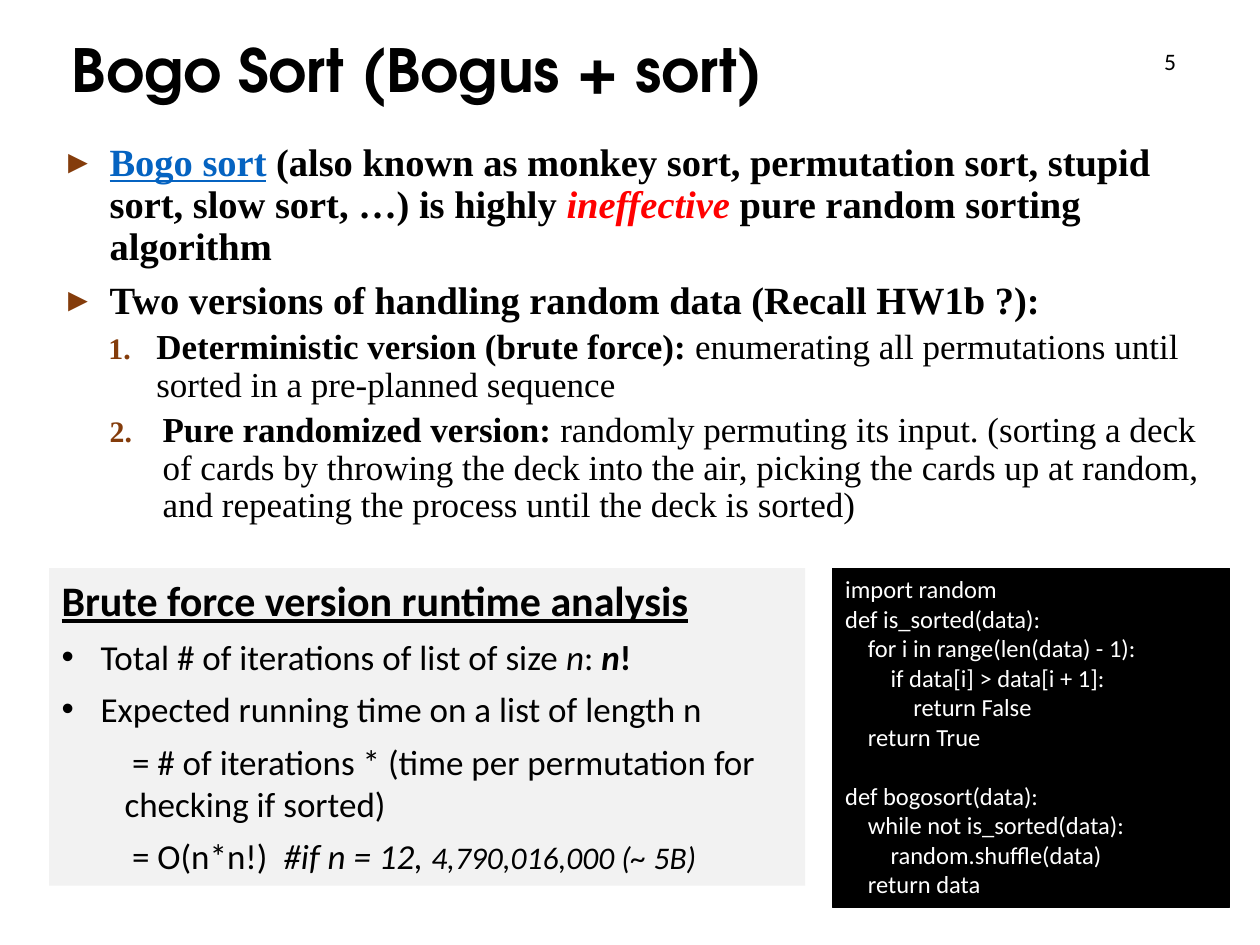
"""Build the Bogo Sort slide."""
import pptx
import pptx.util
import pptx.dml.color
import pptx.enum.shapes
import pptx.enum.text
import pptx.oxml
import pptx.oxml.ns

TIMES, SANS, HEAD = "Times New Roman", "Calibri", "TeX Gyre Adventor"
BLACK, WHITE, GREY, BROWN, BLUE, RED = "000000", "FFFFFF", "F2F2F2", "843C0B", "0563C1", "FF0000"
WIDE, HIGH = 10, 7.5

ARROW = dict(left=0.38, first=-0.38, mark="►", lines=0.9, before=7.5, size=22)
STEP = dict(level=1, left=0.75, first=-0.38, mark="1.", lines=0.9, before=3.8, size=20)
DOT = dict(left=0.31, first=-0.31, mark="•", before=6, size=20)
SUM = dict(level=1, left=0.5, first=0.06, before=6, size=20)

# Each run is its text, its b/i/u flags, and any override of size or colour.
TITLE = [(dict(size=34, lines=0.9), [("Bogo Sort (Bogus + sort)", "b")])]
NUMBER = [(dict(size=13.5), [("5", "")])]
POINTS = [
    (ARROW, [("Bogo sort", "bu", dict(color=BLUE)),
             (" (also known as monkey sort, permutation sort, stupid sort, slow sort, …)"
              " is highly ", "b"),
             ("ineffective", "bi", dict(color=RED)),
             (" pure random sorting algorithm", "b")]),
    (ARROW, [("Two versions of handling random data (Recall HW1b ?):", "b")]),
    (STEP, [("Deterministic version (brute force): ", "b"),
            ("enumerating all permutations until sorted in a pre-planned sequence", "")]),
    (STEP | dict(left=0.8, first=-0.42),
     [("Pure randomized version: ", "b"),
      ("randomly permuting its input. (sorting a deck of cards by throwing the deck into"
       " the air, picking the cards up at random, and repeating the process until the deck"
       " is sorted)", "")]),
]
COST = [
    (dict(size=24), [("Brute force version runtime analysis", "bu")]),
    (DOT, [("Total # of iterations of list of size ", ""), ("n", "i"), (": ", ""),
           ("n", "bi"), ("!", "b")]),
    (DOT, [("Expected running time on a list of length n", "")]),
    (SUM, [("= # of iterations * (time per permutation for checking if sorted)", "")]),
    (SUM, [("= O(n*n!)  ", ""), ("#if n = 12, ", "i"),
           ("4,790,016,000 (~ 5B)", "i", dict(size=18))]),
]
CODE = [
    (0, "import random"),
    (0, "def is_sorted(data):"),
    (1, "for i in range(len(data) - 1):"),
    (2, "if data[i] > data[i + 1]:"),
    (3, "return False"),
    (1, "return True"),
    (0, "def bogosort(data):"),
    (1, "while not is_sorted(data):"),
    (2, "random.shuffle(data)"),
    (1, "return data"),
]
TAB, GAP = 0.18, 17


def paint(text):
    return pptx.dml.color.RGBColor.from_string(text)


def place(shape, left, top, width, height):
    shape.left, shape.top, shape.width, shape.height = (
        pptx.util.Inches(v) for v in (left, top, width, height))


def add_mark(props, mark):
    def node(tag, **attrs):
        item = pptx.oxml.parse_xml(f"<a:{tag} {pptx.oxml.ns.nsdecls('a')}/>")
        for key, value in attrs.items():
            item.set(key, value)
        return item

    if not mark:
        props.append(node("buNone"))
        return
    if mark != "•":
        tint = node("buClr")
        tint.append(node("srgbClr", val=BROWN))
        props.append(tint)
        props.append(node("buSzPct", val="85000"))
    if mark == "1.":
        props.append(node("buAutoNum", type="arabicPeriod"))
    else:
        props.append(node("buFont", typeface="Arial"))
        props.append(node("buChar", char=mark))


def write(shape, paras, face, color=BLACK, anchor="TOP"):
    frame = shape.text_frame
    frame.word_wrap = True
    frame.auto_size = pptx.enum.text.MSO_AUTO_SIZE.NONE
    frame.vertical_anchor = pptx.enum.text.MSO_ANCHOR[anchor]
    for n, (style, runs) in enumerate(paras):
        para = frame.add_paragraph() if n else frame.paragraphs[0]
        para.level = style.get("level", 0)
        para.alignment = pptx.enum.text.PP_ALIGN.LEFT
        para.line_spacing = style.get("lines", 1.0)
        para.space_before = pptx.util.Pt(style.get("before", 0))
        props = para._p.get_or_add_pPr()
        props.set("marL", str(pptx.util.Inches(style.get("left", 0))))
        props.set("indent", str(pptx.util.Inches(style.get("first", 0))))
        add_mark(props, style.get("mark"))
        for text, flags, *extra in runs:
            look = dict(size=style["size"], color=color)
            look.update(*extra)
            run = para.add_run()
            run.text = text
            font = run.font
            font.name, font.size = face, pptx.util.Pt(look["size"])
            font.color.rgb = paint(look["color"])
            font.bold, font.italic, font.underline = (f in flags for f in "biu")


def add_panel(slide, box, fill, line=None):
    shape = slide.shapes.add_shape(pptx.enum.shapes.MSO_SHAPE.RECTANGLE, 0, 0, 0, 0)
    place(shape, *box)
    shape.shadow.inherit = False
    shape.fill.solid()
    shape.fill.fore_color.rgb = paint(fill)
    if line:
        shape.line.color.rgb = paint(line)
        shape.line.width = pptx.util.Pt(0.75)
    else:
        shape.line.fill.background()
    return shape


def main():
    deck = pptx.Presentation()
    deck.slide_width, deck.slide_height = pptx.util.Inches(WIDE), pptx.util.Inches(HIGH)
    slide = deck.slides.add_slide(deck.slide_layouts[1])
    edge, base = 0.39, 0.6 * HIGH + 0.01

    title, body = slide.placeholders
    place(title, 0.47, 0.25, 6.24, 0.66)
    write(title, TITLE, HEAD, anchor="MIDDLE")
    place(body, edge, 1.09, 9.47, 3.26)
    write(body, POINTS, TIMES)

    number = slide.shapes.add_textbox(0, 0, 0, 0)
    place(number, 9.14, 0.32, 0.86, 0.84)
    write(number, NUMBER, SANS)

    lines = [(dict(size=14, left=TAB * depth,
                   before=GAP if n and text.startswith("def bogo") else 0), [(text, "")])
             for n, (depth, text) in enumerate(CODE)]
    write(add_panel(slide, (6.61, base, 3.15, 2.69), BLACK, BLACK), lines, SANS, WHITE)
    write(add_panel(slide, (edge, base, 0.6 * WIDE, 2.52), GREY), COST, SANS)
    deck.save("out.pptx")


if __name__ == "__main__":
    main()
